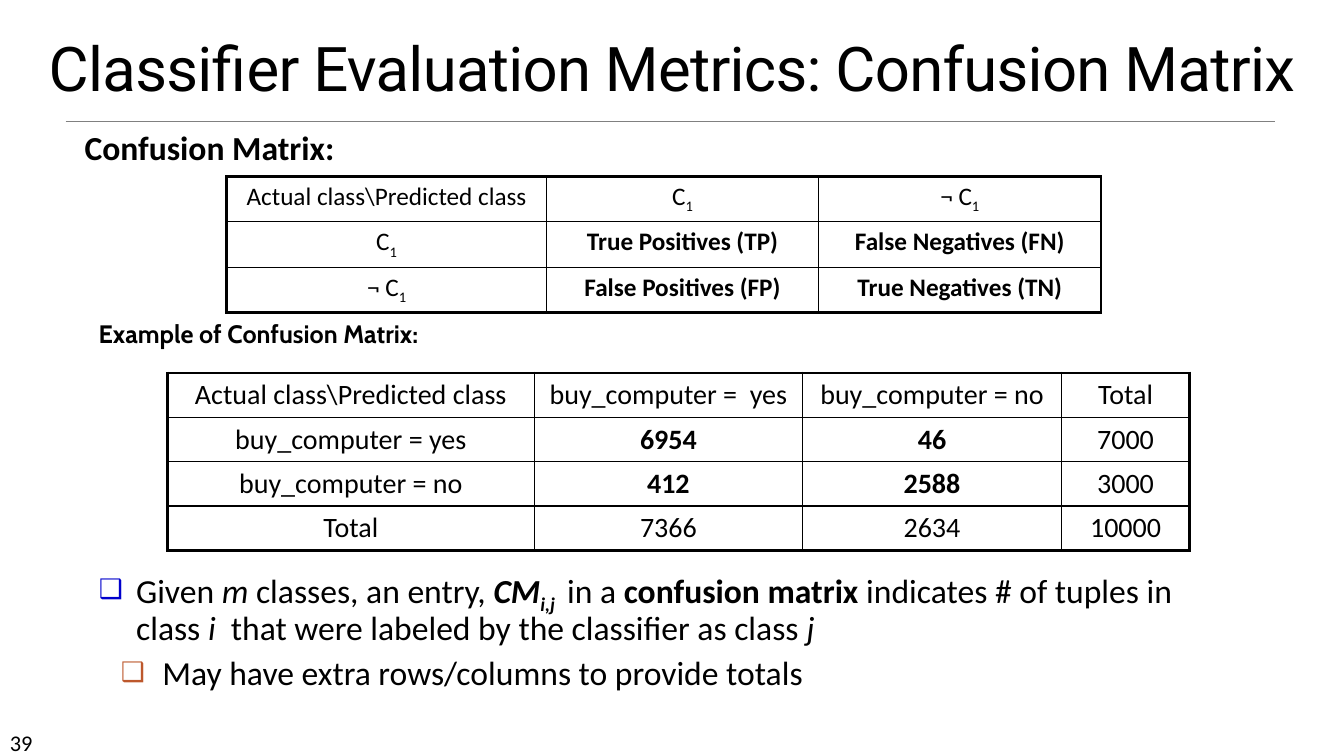
import pptx
import pptx.dml.color
import pptx.enum.shapes
import pptx.enum.text
import pptx.oxml
import pptx.oxml.ns
import pptx.util
from lxml import etree

Inches, Pt = pptx.util.Inches, pptx.util.Pt
RGBColor = pptx.dml.color.RGBColor
ALIGN = pptx.enum.text.PP_ALIGN
BLACK = RGBColor(0x00, 0x00, 0x00)
GRAY = RGBColor(0x80, 0x80, 0x80)
BLUE = RGBColor(0x00, 0x00, 0xCC)
RUST = RGBColor(0xBD, 0x58, 0x2C)
OUTER, INNER = 2.25, 1  # table border widths in points

C1 = [("C", ""), ("1", "s")]
NOT_C1 = [("¬ C", ""), ("1", "s")]
DEFINITION = [
    ["Actual class\\Predicted class", C1, NOT_C1],
    [C1, [("True Positives (TP)", "b")], [("False Negatives (FN)", "b")]],
    [NOT_C1, [("False Positives (FP)", "b")], [("True Negatives (TN)", "b")]],
]
EXAMPLE = [
    ["Actual class\\Predicted class", "buy_computer =  yes", "buy_computer = no", "Total"],
    ["buy_computer = yes", [("6954", "b")], [("46", "b")], "7000"],
    ["buy_computer = no", [("412", "b")], [("2588", "b")], "3000"],
    ["Total", "7366", "2634", "10000"],
]
NOTES = [
    (0, 0.37, -0.37, BLUE, [
        ("Given", ""), (" m", "i"), (" classes, an entry, ", ""), ("CM", "bi"),
        ("i,j ", "bis"), (" in a ", ""), ("confusion matrix", "b"),
        (" indicates # of tuples in class ", ""), ("i", "i"),
        ("  that were labeled by the classifier as class ", ""), ("j", "i")]),
    (1, 0.63, -0.41, RUST, "May have extra rows/columns to provide totals"),
]


def write(paragraph, content, size, font="Calibri"):
    """Fill a paragraph; style letters are b(old), i(talic), s(ubscript)."""
    paragraph.font.size = Pt(size)
    paragraph.font.name = font
    paragraph.font.color.rgb = BLACK
    runs = [(content, "")] if isinstance(content, str) else content
    for text, style in runs:
        run = paragraph.add_run()
        run.text = text
        if "b" in style:
            run.font.bold = True
        if "i" in style:
            run.font.italic = True
        if "s" in style:
            run._r.get_or_add_rPr().set("baseline", "-25000")


def place(shape, box):
    shape.left, shape.top, shape.width, shape.height = map(Inches, box)


def add_label(slide, box, content, size, font="Calibri", wrap=True):
    label = slide.shapes.add_textbox(*map(Inches, box))
    label.text_frame.word_wrap = wrap
    write(label.text_frame.paragraphs[0], content, size, font)


def add_heading(slide, box):
    """Title with the rule below it."""
    left, top, width, height = box
    title = slide.shapes.title
    place(title, box)
    frame = title.text_frame
    frame.auto_size = pptx.enum.text.MSO_AUTO_SIZE.NONE
    frame.vertical_anchor = pptx.enum.text.MSO_ANCHOR.BOTTOM
    heading = frame.paragraphs[0]
    heading.alignment = ALIGN.CENTER
    heading.line_spacing = 0.85
    write(heading, "Classifier Evaluation Metrics: Confusion Matrix", 44, "Roboto")
    heading.runs[0]._r.get_or_add_rPr().set("spc", "-50")

    rule_y = Inches(top + height + 0.12)
    rule = slide.shapes.add_connector(
        pptx.enum.shapes.MSO_CONNECTOR.STRAIGHT,
        Inches(left + 0.65), rule_y, Inches(left + width - 0.68), rule_y)
    rule.line.color.rgb = GRAY
    rule.line.width = Pt(0.5)
    etree.SubElement(rule._element.spPr, pptx.oxml.ns.qn("a:effectLst"))


def set_borders(cell, widths):
    properties = cell._tc.get_or_add_tcPr()
    for side, width in zip("LRTB", widths):
        properties.append(pptx.oxml.parse_xml(
            f'<a:ln{side} {pptx.oxml.ns.nsdecls("a")} w="{Pt(width)}">'
            f'<a:solidFill><a:srgbClr val="{BLACK}"/></a:solidFill></a:ln{side}>'))


def add_matrix(slide, box, columns, rows, size):
    """Table with a heavy frame and thin inner lines."""
    table = slide.shapes.add_table(len(rows), len(columns), *map(Inches, box)).table
    table.first_row = table.horz_banding = False
    last_row, last_column = len(rows) - 1, len(columns) - 1
    for column, width in zip(table.columns, columns):
        column.width = Inches(width)
    for r, row in enumerate(rows):
        table.rows[r].height = Inches(box[3] / len(rows))
        for c, content in enumerate(row):
            cell = table.cell(r, c)
            edges = (c == 0, c == last_column, r == 0, r == last_row)
            set_borders(cell, [OUTER if edge else INNER for edge in edges])
            cell.fill.background()
            entry = cell.text_frame.paragraphs[0]
            entry.alignment = ALIGN.CENTER
            write(entry, content, size)


def add_bullet(paragraph, margin, indent, color):
    properties = paragraph._p.get_or_add_pPr()
    properties.set("marL", str(Inches(margin)))
    properties.set("indent", str(Inches(indent)))
    for xml in (f'<a:buClr {{}}><a:srgbClr val="{color}"/></a:buClr>',
                '<a:buSzPct {} val="80000"/>',
                '<a:buChar {} char="❑"/>'):
        properties.append(pptx.oxml.parse_xml(xml.format(pptx.oxml.ns.nsdecls("a"))))


def add_notes(slide, box):
    """Bulleted explanation in the body placeholder."""
    body = slide.placeholders[1]
    place(body, box)
    frame = body.text_frame
    frame.auto_size = pptx.enum.text.MSO_AUTO_SIZE.NONE
    for n, (level, margin, indent, color, content) in enumerate(NOTES):
        note = frame.add_paragraph() if n else frame.paragraphs[0]
        note.level = level
        add_bullet(note, margin, indent, color)
        note.line_spacing = 0.9
        note.space_before = Pt(6 if n else 0)
        write(note, content, 24)


def main():
    deck = pptx.Presentation()
    deck.slide_width, deck.slide_height = Inches(13.33), Inches(7.5)
    slide = deck.slides.add_slide(deck.slide_layouts[1])

    add_heading(slide, (0, 0, 13.33, 1.08))
    # Definition of the matrix
    add_label(slide, (0.74, 1.21, 2.85, 0.5), [("Confusion Matrix:", "b")], 24)
    add_matrix(slide, (2.25, 1.75, 8.67, 1.35), (3.17, 2.7, 2.8), DEFINITION, 18)
    # Worked example
    add_label(slide, (0.88, 3.11, 3.9, 0.4), [("Example of Confusion Matrix:", "b")],
              18, "Cabin", wrap=False)
    add_matrix(slide, (1.66, 3.7, 10.14, 1.76), (3.64, 2.66, 2.57, 1.27), EXAMPLE, 20)
    # Explanation and slide number
    add_notes(slide, (0.88, 5.61, 11.01, 1.41))
    add_label(slide, (0, 7.18, 1.17, 0.3), "39", 16)

    deck.save("out.pptx")


if __name__ == "__main__":
    main()
